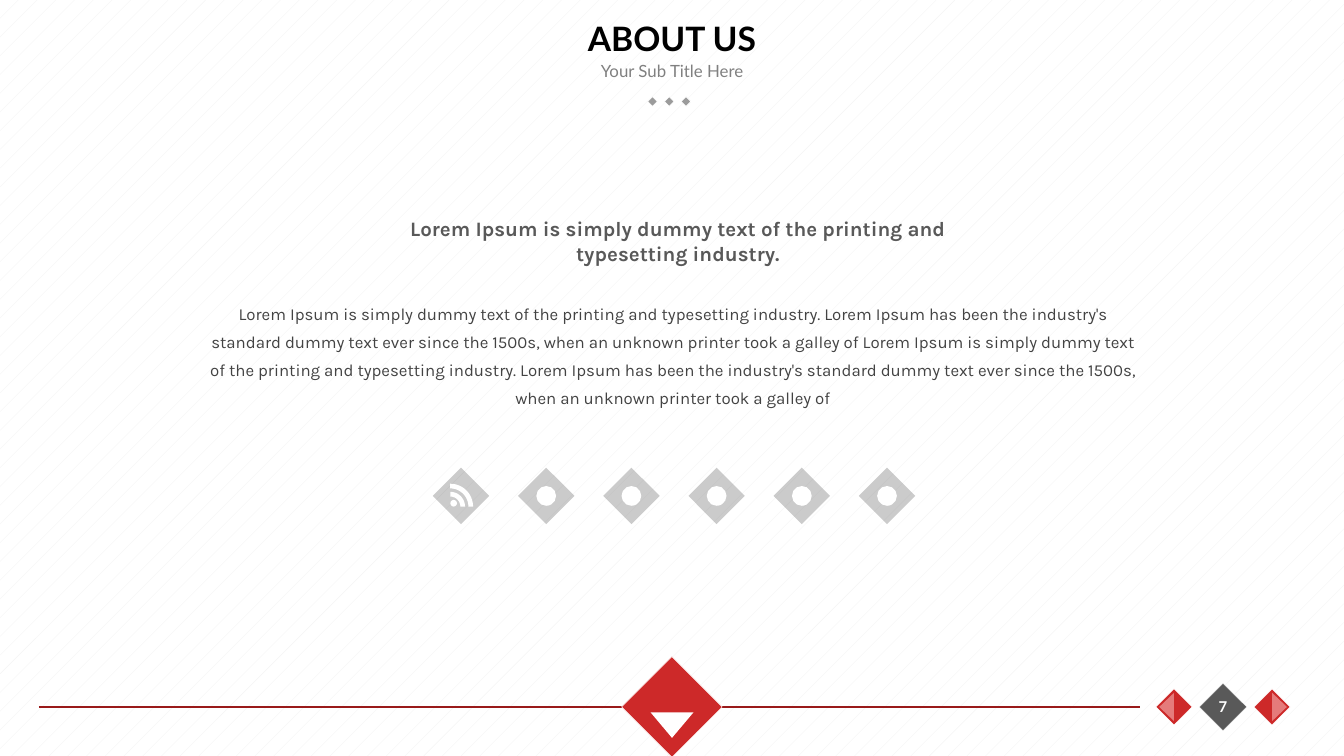
import math

import pptx
import pptx.dml.color
import pptx.enum.dml
import pptx.enum.shapes
import pptx.enum.text
import pptx.oxml
import pptx.oxml.ns
import pptx.util

COLORS = {
    "white": "FFFFFF", "black": "000000", "stripe": "F2F2F2",
    "red": "CD2929", "dark_red": "991A1A", "pale_red": "E57B7B",
    "gray": "595959", "dot": "9B9B9B", "subtitle": "808080",
    "body": "434343", "badge": "0D0D0D",
}
SHAPE = pptx.enum.shapes.MSO_SHAPE
ANCHOR = pptx.enum.text.MSO_ANCHOR

# Grid of square cells, 100 columns across a 16:9 slide
CELL = pptx.util.Inches(0.1)
COLS, ROWS = 100, 56.25

BODY = ("Lorem Ipsum is simply dummy text of the printing and typesetting industry. "
        "Lorem Ipsum has been the industry's standard dummy text ever since the 1500s, "
        "when an unknown printer took a galley of ")


def grid(*cells):
    return [round(c * CELL) for c in cells]


def rgb(name):
    return pptx.dml.color.RGBColor.from_string(COLORS[name])


def paint(sp, fill, outline=None):
    sp.shadow.inherit = False
    sp.fill.solid()
    sp.fill.fore_color.rgb = rgb(fill)
    if outline:
        sp.line.color.rgb = rgb(outline)
        sp.line.width = pptx.util.Pt(0.25)
    else:
        sp.line.fill.background()
    return sp


def add_shape(s, kind, box, fill, outline=None, rotation=0):
    sp = paint(s.shapes.add_shape(kind, *grid(*box)), fill, outline)
    sp.rotation = rotation
    return sp


def add_tilted_square(s, cx, cy, side, fill):
    box = (cx - side / 2, cy - side / 2, side, side)
    add_shape(s, SHAPE.RECTANGLE, box, fill, "white", 315)


def add_polygon(s, points, fill):
    corners = [grid(*point) for point in points]
    builder = s.shapes.build_freeform(*corners[0], scale=1.0)
    builder.add_line_segments(corners[1:], close=True)
    paint(builder.convert_to_shape(), fill)


def add_text(s, box, text, size, font, color, bold=False,
             anchor=ANCHOR.MIDDLE, spacing=None):
    tf = s.shapes.add_textbox(*grid(*box)).text_frame
    tf.word_wrap = True
    tf.vertical_anchor = anchor
    tf.text = text
    p = tf.paragraphs[0]
    p.alignment = pptx.enum.text.PP_ALIGN.CENTER
    if spacing:
        p.line_spacing = pptx.util.Pt(spacing)
    r = p.runs[0]
    r.font.size = pptx.util.Pt(size)
    r.font.name = font
    r.font.bold = bold
    r.font.color.rgb = rgb(color)


def set_background(s):
    fill = s.background.fill
    fill.patterned()
    fill.pattern = pptx.enum.dml.MSO_PATTERN.PERCENT_5
    fill.fore_color.rgb = rgb("stripe")
    fill.back_color.rgb = rgb("white")


def draw_header(s, box):
    left, top, width, height = box
    cx = left + width / 2
    add_text(s, (left, top, width, 5.6), "ABOUT US", 18, "Lato", "black", True)
    add_text(s, (cx - 12.5, top + 4, 25, 2.5), "Your Sub Title Here",
             9, "Lato", "subtitle")
    # Three small diamonds under the subtitle
    for i in (-1, 0, 1):
        add_tilted_square(s, cx - 0.2 + i * 1.25, top + height - 0.25, 0.5, "dot")


def draw_message(s, box):
    left, top, width, height = box
    add_text(s, (left + 15, top, 42.5, 4.7), BODY.split(".")[0] + ".",
             11, "Karla", "gray", True, ANCHOR.TOP)
    add_text(s, (left, top + 5.9, width, height - 5.9), (BODY * 2).strip(),
             9, "Karla", "body", anchor=ANCHOR.TOP, spacing=15)


def draw_feed_symbol(s, left, base):
    add_shape(s, SHAPE.OVAL, (left, base - 0.5, 0.5, 0.5), "white")
    angles = [math.radians(a) for a in range(0, 91, 6)]
    for outer, inner in ((1.1, 0.75), (1.7, 1.35)):
        arc = [(outer, a) for a in angles] + [(inner, a) for a in reversed(angles)]
        add_polygon(s, [(left + r * math.cos(a), base - r * math.sin(a))
                        for r, a in arc], "white")


def draw_badges(s, box, count=6):
    left, top, width, size = box
    pitch = (width - size) / (count - 1)
    for i in range(count):
        x = left + i * pitch
        badge = add_shape(s, SHAPE.DIAMOND, (x, top, size, size), "badge")
        color = badge.fill._xPr.find(".//" + pptx.oxml.ns.qn("a:srgbClr"))
        color.append(pptx.oxml.parse_xml(
            '<a:alpha %s val="21000"/>' % pptx.oxml.ns.nsdecls("a")))
        if i == 0:
            draw_feed_symbol(s, x + 0.31 * size, top + 0.69 * size)
        else:
            # Plain mark in each remaining badge
            mark = 0.35 * size
            inset = (size - mark) / 2
            add_shape(s, SHAPE.OVAL, (x + inset, top + inset, mark, mark), "white")


def draw_footer(s, box):
    left, top, width, height = box
    cy = top + height / 2
    # Rule
    rule = s.shapes.add_connector(pptx.enum.shapes.MSO_CONNECTOR.STRAIGHT,
                                  *grid(left, cy, left + 81.9, cy))
    rule.line.color.rgb = rgb("dark_red")
    rule.line.width = pptx.util.Pt(0.75)
    rule._element.spPr.append(pptx.oxml.parse_xml(
        "<a:effectLst %s/>" % pptx.oxml.ns.nsdecls("a")))
    # Page number between the previous and next buttons
    page_x = left + width - 5
    add_tilted_square(s, page_x, cy, 2.5, "gray")
    add_text(s, (page_x - 2.1, cy - 1.25, 4.2, 2.5), "7", 8, "Lato", "white", True)
    for side, rotation in ((-1, 270), (1, 90)):
        x = page_x + side * 3.65
        add_tilted_square(s, x, cy, 1.9, "red")
        add_shape(s, SHAPE.FLOWCHART_EXTRACT,
                  (x + side * 0.55 - 1.05, cy - 0.55, 2.1, 1.1),
                  "pale_red", rotation=rotation)
    # Centre marker with a downward triangle
    cx = COLS / 2
    add_tilted_square(s, cx, cy, 5.3, "red")
    add_polygon(s, [(cx - 1.6, cy + 0.4), (cx + 1.6, cy + 0.4), (cx, cy + 2.3)],
                "white")


def main():
    prs = pptx.Presentation()
    prs.slide_width, prs.slide_height = grid(COLS, ROWS)
    s = prs.slides.add_slide(prs.slide_layouts[6])
    set_background(s)
    draw_header(s, (7.5, 0, 85, 7.8))
    draw_message(s, (14.2, 15.6, 71.7, 15.3))
    draw_badges(s, (32.2, 34.8, 35.9, 4.2))
    draw_footer(s, (2.9, 48.9, 93.1, 7.4))
    prs.save("out.pptx")


if __name__ == "__main__":
    main()
